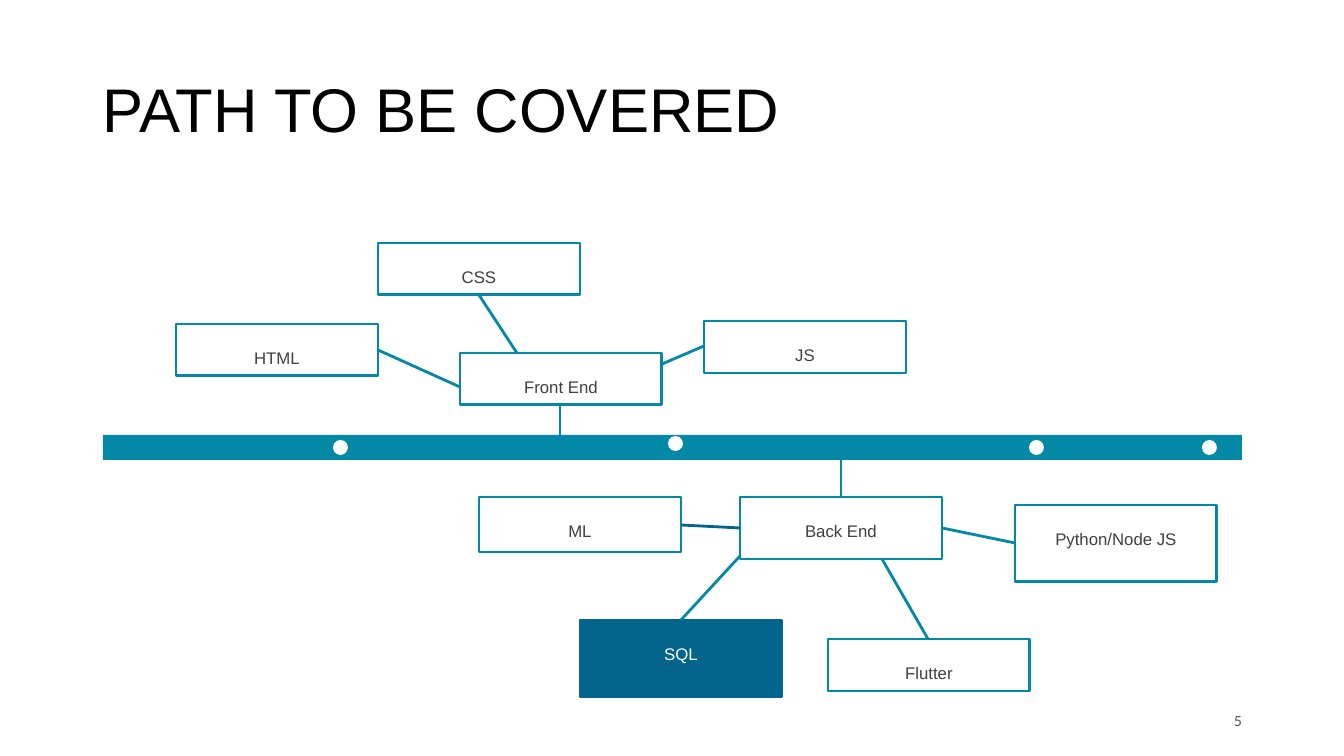
"""Build the learning-path slide with its front-end and back-end branches."""
from pptx import Presentation
from pptx import util as u
from pptx.dml.color import RGBColor
from pptx.enum import shapes, text
from pptx.oxml.ns import qn
from lxml import etree

TEAL, NAVY, WHITE, BLACK = "0388A6", "03658C", "FFFFFF", "000000"
BODY_GREY, NUMBER_GREY = "404040", "595959"
BOX_WIDTH, BOX_HEIGHT, DOT_SIZE = 202, 52, 15


def px(length):
    return u.Emu(round(length * 914400 / 100.8))


def color(value):
    return RGBColor.from_string(value)


def apply(target, values):
    for key, value in values.items():
        setattr(target, key, value)


class PathSlide:
    """Hold the style and the current slide."""

    line_width = u.Pt(2)
    box_frame = dict(word_wrap=True, vertical_anchor=text.MSO_ANCHOR.TOP, margin_left=0,
                     margin_top=u.Inches(0.04), margin_right=0, margin_bottom=0)
    box_paragraph = dict(alignment=text.PP_ALIGN.CENTER, line_spacing=2.0,
                         space_before=u.Pt(10))
    label_frame = dict(word_wrap=True, vertical_anchor=text.MSO_ANCHOR.MIDDLE)

    def __init__(self, deck):
        self.shapes = deck.slides.add_slide(deck.slide_layouts[6]).shapes

    def set_text(self, frame, words, size, font, ink, frame_format, paragraph_format):
        apply(frame, frame_format)
        paragraph = frame.paragraphs[0]
        apply(paragraph, paragraph_format)
        run = paragraph.add_run()
        run.text = words
        apply(run.font, dict(size=u.Pt(size), name=font))
        run.font.color.rgb = color(ink)

    def shape(self, kind, area, fill=None, outline=None):
        item = self.shapes.add_shape(kind, *map(px, area))
        item.shadow.inherit = False
        if fill:
            item.fill.solid()
            item.fill.fore_color.rgb = color(fill)
        else:
            item.fill.background()
        if outline:
            item.line.color.rgb = color(outline)
            item.line.width = self.line_width
        else:
            item.line.fill.background()
        return item

    def bar(self, *area):
        self.shape(shapes.MSO_SHAPE.RECTANGLE, area, TEAL)

    def dot(self, left, top):
        self.shape(shapes.MSO_SHAPE.OVAL, (left, top, DOT_SIZE, DOT_SIZE), WHITE)

    def topic(self, words, left, top, height=BOX_HEIGHT, fill=None):
        box = self.shape(shapes.MSO_SHAPE.RECTANGLE, (left, top, BOX_WIDTH, height),
                         fill, fill or TEAL)
        self.set_text(box.text_frame, words, 12, "Arial", WHITE if fill else BODY_GREY,
                      self.box_frame, self.box_paragraph)

    def link(self, start, end, ink=TEAL):
        line = self.shapes.add_connector(shapes.MSO_CONNECTOR.STRAIGHT,
                                         *map(px, (*start, *end)))
        line.line.color.rgb = color(ink)
        line.line.width = self.line_width
        etree.SubElement(line._element.spPr, qn("a:effectLst"))

    def label(self, words, area, size, font, ink, **paragraph_format):
        box = self.shapes.add_textbox(*map(px, area))
        self.set_text(box.text_frame, words, size, font, ink,
                      self.label_frame, paragraph_format)


deck = Presentation()
apply(deck, dict(slide_width=px(1344), slide_height=px(756)))
slide = PathSlide(deck)

slide.bar(103, 435, 1139, 25)
slide.label("PATH TO BE COVERED", (93, 40, 1159, 146), 44, "Arial", BLACK,
            line_spacing=0.9)

for milestone in ((333, 440), (668, 436), (1029, 440), (1202, 440)):
    slide.dot(*milestone)

topics = (
    ("HTML", 176, 324), ("CSS", 378, 243), ("JS", 704, 321), ("Front End", 460, 353),
    ("ML", 479, 497, 55), ("Back End", 740, 497, 62), ("Python/Node JS", 1015, 505, 77),
    ("SQL", 580, 620, 77, NAVY), ("Flutter", 828, 639),
)
for topic in topics:
    slide.topic(*topic)

links = (
    ((560, 405), (560, 435)), ((460, 387), (378, 350)), ((479, 295), (517, 353)),
    ((704, 346), (662, 364)), ((841, 456), (841, 497)), ((681, 525), (740, 528), NAVY),
    ((1015, 543), (942, 528)), ((740, 556), (681, 620)), ((928, 639), (882, 559)),
)
for link in links:
    slide.link(*link)

slide.label("5", (950, 701, 302, 40), 10, "Lato", NUMBER_GREY,
            alignment=text.PP_ALIGN.RIGHT)
deck.save("out.pptx")
